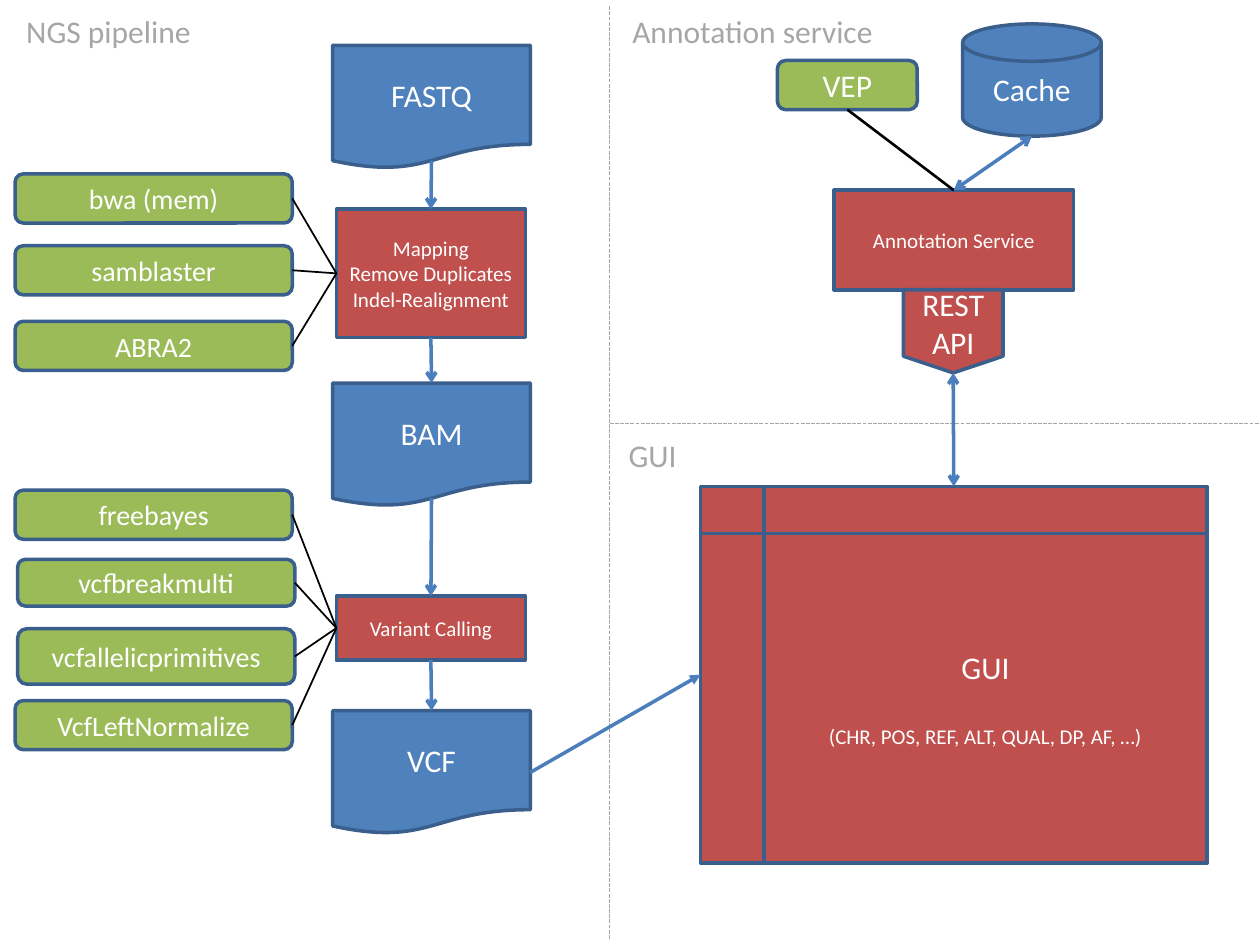
from pptx import Presentation
from pptx import util as u
from pptx.dml.color import RGBColor
from pptx.enum import dml, shapes, text
from pptx.oxml import parse_xml
from pptx.oxml.ns import nsdecls, qn
from lxml import etree

BLUE = RGBColor(0x4F, 0x81, 0xBD)
RED = RGBColor(0xC0, 0x50, 0x4D)
GREEN = RGBColor(0x9B, 0xBB, 0x59)
EDGE = RGBColor(0x3A, 0x5F, 0x8C)
FLOW = RGBColor(0x4B, 0x7E, 0xBC)
GREY = RGBColor(0xA6, 0xA6, 0xA6)
BLACK = RGBColor(0, 0, 0)
WHITE = RGBColor(255, 255, 255)

FONT = "Calibri"
WIDE, HIGH = u.Inches(10), u.Inches(7.5)
COLS = 100  # square grid: 100 columns, 75 rows
KIND = shapes.MSO_SHAPE
DOC = KIND.FLOWCHART_DOCUMENT
DISK = KIND.FLOWCHART_MAGNETIC_DISK
STEP = KIND.FLOWCHART_PROCESS
SIDES = ["top", "left", "bottom", "right"]
WAVE = 0.934  # depth of a document's wavy edge at mid-width


def grid(n):
    """Turn grid columns or rows into a length."""
    return int(WIDE * n / COLS)


def style(para, size, color):
    """Set the font of a paragraph."""
    para.font.name = FONT
    para.font.size = u.Pt(size)
    para.font.color.rgb = color


def node(slide, kind, fill, spot, words, size=18):
    """Draw a flowchart shape with centred white text."""
    box = slide.shapes.add_shape(kind, *map(grid, spot))
    box.shadow.inherit = False
    box.fill.solid()
    box.fill.fore_color.rgb = fill
    box.line.color.rgb = EDGE
    box.line.width = u.Pt(2)
    frame = box.text_frame
    frame.word_wrap = True
    frame.vertical_anchor = text.MSO_ANCHOR.MIDDLE
    frame.text = words
    for para in frame.paragraphs:
        para.alignment = text.PP_ALIGN.CENTER
        style(para, size, WHITE)
    return box


def tool(slide, x, y, words, w=22, h=3.9, size=16):
    """Draw a rounded box that names a tool."""
    return node(slide, KIND.FLOWCHART_ALTERNATE_PROCESS, GREEN,
                (x, y, w, h), words, size)


def label(slide, x, y, w, words):
    """Write the grey heading of an area."""
    frame = slide.shapes.add_textbox(*map(grid, (x, y, w, 4))).text_frame
    frame.word_wrap = False
    frame.text = words
    style(frame.paragraphs[0], 18, GREY)


def line(slide, start, end, color, width, head=None, tail=None):
    """Draw a straight line between two points, with optional arrowheads."""
    wire = slide.shapes.add_connector(
        shapes.MSO_CONNECTOR.STRAIGHT, *start, *end)
    wire.line.color.rgb = color
    wire.line.width = u.Pt(width)
    ln = wire.line._get_or_add_ln()
    for tag, tip in (("a:headEnd", head), ("a:tailEnd", tail)):
        if tip:
            etree.SubElement(ln, qn(tag), type=tip)
    wire._element.spPr.append(parse_xml(f"<a:effectLst {nsdecls('a')}/>"))
    return wire


def point(box, side):
    """Find the middle of one side of a shape."""
    x, y, w, h = box.left, box.top, box.width, box.height
    low = WAVE if box.auto_shape_type == DOC else 1
    return {"top": (x + w // 2, y), "left": (x, y + h // 2),
            "bottom": (x + w // 2, y + int(h * low)),
            "right": (x + w, y + h // 2)}[side]


def site(box, side):
    """Give the number of the connection site on a side."""
    return SIDES.index(side) + (box.auto_shape_type == DISK)


def link(slide, a, out, b, into, color=FLOW, width=2, head=None, tail="arrow"):
    """Join two shapes by a line glued to their sides."""
    start, end = point(a, out), point(b, into)
    wire = line(slide, start, end, color, width, head, tail)
    wire.begin_connect(a, site(a, out))
    wire.end_connect(b, site(b, into))
    wire.begin_x, wire.begin_y = start
    wire.end_x, wire.end_y = end


def split(slide, x1, y1, x2, y2):
    """Draw a dashed border between two areas."""
    wire = line(slide, (grid(x1), grid(y1)), (grid(x2), grid(y2)), GREY, 0.75)
    wire.line.dash_style = dml.MSO_LINE.SQUARE_DOT


def steps(slide):
    """Draw the pipeline and its tools; return the final file."""
    files = [node(slide, DOC, BLUE, (26.4, y, 15.7, 9.8), name)
             for name, y in (("FASTQ", 3.6), ("BAM", 30.4), ("VCF", 56.4))]
    mapper = node(slide, STEP, RED, (26.7, 16.6, 15, 10.2),
                  "Mapping\nRemove Duplicates\nIndel-Realignment", 12)
    caller = node(slide, STEP, RED, (26.7, 47.3, 15, 5.1),
                  "Variant Calling", 12)
    chain = [files[0], mapper, files[1], caller, files[2]]
    for a, b in zip(chain, chain[1:]):
        link(slide, a, "bottom", b, "top")
    groups = (
        (mapper, (("bwa (mem)", 1.2, 13.8, 3.9), ("samblaster", 1.2, 19.5, 3.9),
                  ("ABRA2", 1.2, 25.5, 3.9))),
        (caller, (("freebayes", 1.2, 38.9, 3.9),
                  ("vcfbreakmulti", 1.4, 44.4, 3.7),
                  ("vcfallelicprimitives", 1.4, 49.9, 4.4),
                  ("VcfLeftNormalize", 1.2, 55.6, 3.9))))
    for step, names in groups:
        for name, x, y, h in names:
            link(slide, tool(slide, x, y, name, h=h), "right", step, "left",
                 BLACK, 1, tail=None)
    return files[-1]


def service(slide):
    """Draw the annotation service; return its interface."""
    cache = node(slide, DISK, BLUE, (76.4, 1.9, 11, 8.9), "Cache")
    core = node(slide, STEP, RED, (66.2, 15.1, 19, 7.9),
                "Annotation Service", 12)
    vep = tool(slide, 61.7, 4.8, "VEP", 11.1, size=18)
    api = node(slide, KIND.FLOWCHART_OFFPAGE_CONNECTOR, RED,
               (71.7, 23, 7.9, 6.6), "REST API")
    link(slide, core, "top", vep, "bottom", BLACK, 1.5, tail=None)
    link(slide, core, "top", cache, "bottom", head="arrow")
    return api


def screen(slide):
    """Draw the user interface with its list of fields."""
    gui = node(slide, KIND.FLOWCHART_INTERNAL_STORAGE, RED,
               (55.6, 38.6, 40.2, 29.9),
               "GUI\n(CHR, POS, REF, ALT, QUAL, DP, AF, …)")
    fields = gui.text_frame.paragraphs[1]
    fields.space_before = u.Pt(22)
    style(fields, 12, WHITE)
    return gui


def main():
    """Build the slide and save it."""
    deck = Presentation()
    deck.slide_width, deck.slide_height = WIDE, HIGH
    slide = deck.slides.add_slide(deck.slide_layouts[6])
    split(slide, 48.4, 0.5, 48.4, 74.5)
    split(slide, 48.4, 33.6, 100, 33.6)
    vcf, api, gui = steps(slide), service(slide), screen(slide)
    link(slide, api, "bottom", gui, "top", head="arrow")
    link(slide, vcf, "right", gui, "left", tail="triangle")
    label(slide, 1.1, 0.5, 15.2, "NGS pipeline")
    label(slide, 49.2, 0.5, 21.3, "Annotation service")
    label(slide, 48.9, 34.1, 5.9, "GUI")
    deck.save("out.pptx")


main()
